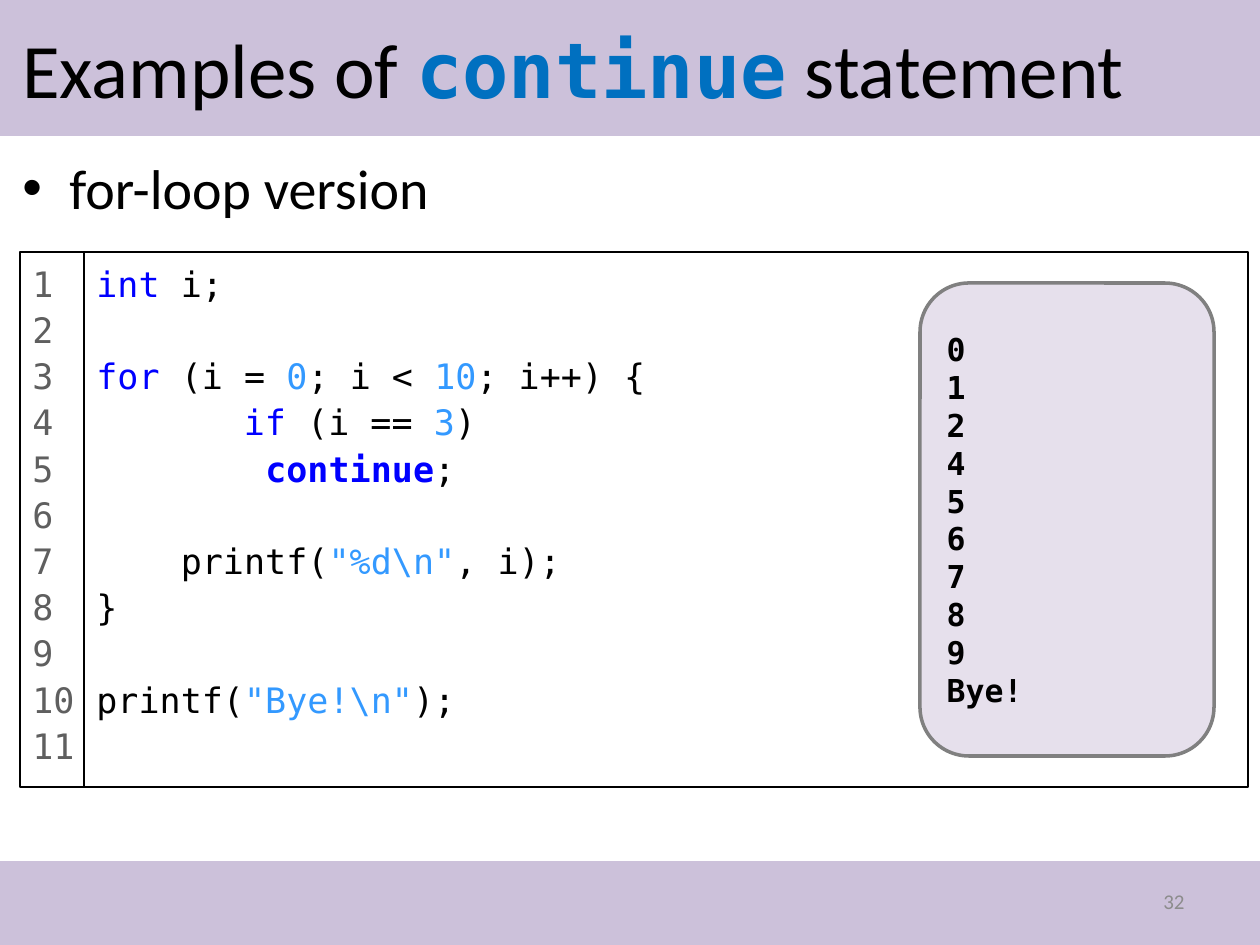
"""Build a slide showing the continue statement in a for loop, with its output."""
import pptx
import pptx.dml.color
import pptx.enum.shapes
import pptx.enum.text
import pptx.oxml.ns
import pptx.util
from lxml import etree

PX_PER_INCH = 126
SANS, MONO = "Calibri", "DejaVu Sans Mono"
BLACK, LILAC, WHITE = "000000", "CCC1DA", "FFFFFF"
KEYWORD, LITERAL = "0000FF", "3399FF"
RECT = pptx.enum.shapes.MSO_SHAPE.RECTANGLE
ROUNDED = pptx.enum.shapes.MSO_SHAPE.ROUNDED_RECTANGLE
ANCHOR = pptx.enum.text.MSO_ANCHOR
ALIGN = pptx.enum.text.PP_ALIGN

CODE = [
    [("int ", KEYWORD), ("i;",)],
    [],
    [("for ", KEYWORD), ("(i = ",), ("0", LITERAL), ("; i < ",),
     ("10", LITERAL), ("; i++) {",)],
    [("\t    ",), ("if", KEYWORD), (" (i == ",), ("3", LITERAL), (")",)],
    [("        ",), ("continue", KEYWORD, True), (";",)],
    [],
    [("    printf(",), ('"%d\\n"', LITERAL), (", i);",)],
    [("}",)],
    [],
    [("printf(",), ('"Bye!\\n"', LITERAL), (");",)],
]


def px(length):
    """Turn pixels into EMU."""
    return round(length * pptx.util.Inches(1) / PX_PER_INCH)


def rgb(value):
    """Turn a hex string into a colour."""
    return pptx.dml.color.RGBColor.from_string(value)


def add_panel(slide, box, fill, outline=None, weight=0.75, kind=RECT):
    """Add a filled shape and return its text frame."""
    panel = slide.shapes.add_shape(kind, *map(px, box))
    panel.shadow.inherit = False
    panel.fill.solid()
    panel.fill.fore_color.rgb = rgb(fill)
    if outline:
        panel.line.color.rgb = rgb(outline)
        panel.line.width = pptx.util.Pt(weight)
    else:
        panel.line.fill.background()
    panel.text_frame.vertical_anchor = ANCHOR.TOP
    return panel.text_frame


def add_label(slide, box, anchor=ANCHOR.TOP):
    """Add a wrapping text box and return its text frame."""
    frame = slide.shapes.add_textbox(*map(px, box)).text_frame
    frame.word_wrap = True
    frame.vertical_anchor = anchor
    return frame


def style_run(run, size, face, color=BLACK, bold=False):
    """Set the font of one run."""
    run.font.size = pptx.util.Pt(size)
    run.font.name = face
    run.font.color.rgb = rgb(color)
    run.font.bold = bold


def write_lines(frame, lines, size, face, color=BLACK, bold=False, spacing=None, align=ALIGN.LEFT):
    """Write one uniformly styled paragraph per line."""
    frame.text = "\n".join(lines)
    for paragraph in frame.paragraphs:
        paragraph.alignment = align
        paragraph.line_spacing = spacing
        for run in paragraph.runs:
            style_run(run, size, face, color, bold)


def add_ppr_child(paragraph, tag, **attributes):
    """Append an element to the paragraph properties."""
    properties = paragraph._p.get_or_add_pPr()
    return etree.SubElement(properties, pptx.oxml.ns.qn(tag), attributes)


def write_title(frame):
    """Write the title with its keyword set as code."""
    title = frame.paragraphs[0]
    for text, face, color, bold in (("Examples of ", SANS, BLACK, False),
                                    ("continue", MONO, "0070C0", True),
                                    (" statement", SANS, BLACK, False)):
        run = title.add_run()
        run.text = text
        style_run(run, 44, face, color, bold)


def write_bullet(frame, text):
    """Write one bulleted line with a hanging indent."""
    write_lines(frame, [text], 32, SANS)
    bullet = frame.paragraphs[0]
    properties = bullet._p.get_or_add_pPr()
    properties.set("marL", str(px(47)))
    properties.set("indent", str(-px(47)))
    add_ppr_child(bullet, "a:buFont", typeface="Arial")
    add_ppr_child(bullet, "a:buChar", char="•")


def write_code(frame, lines, size, spacing):
    """Write code lines made of coloured tokens."""
    for number, tokens in enumerate(lines):
        line = frame.add_paragraph() if number else frame.paragraphs[0]
        line.alignment = ALIGN.LEFT
        line.line_spacing = spacing
        if any("\t" in token[0] for token in tokens):
            stops = add_ppr_child(line, "a:tabLst")
            etree.SubElement(stops, pptx.oxml.ns.qn("a:tab"), pos=str(px(63)), algn="l")
        for text, *look in tokens:
            run = line.add_run()
            run.text = text
            style_run(run, size, MONO, *look)
        if not tokens:
            ending = etree.SubElement(line._p, pptx.oxml.ns.qn("a:endParaRPr"), sz=str(size * 100))
            etree.SubElement(ending, pptx.oxml.ns.qn("a:latin"), typeface=MONO)


def main():
    """Build and save the slide."""
    deck = pptx.Presentation()
    deck.slide_width, deck.slide_height = px(1260), px(945)
    slide = deck.slides.add_slide(deck.slide_layouts[6])

    add_panel(slide, (0, 0, 1260, 136), LILAC)
    add_panel(slide, (0, 861, 1260, 84), LILAC)
    write_title(add_label(slide, (10, 10, 1134, 116), ANCHOR.MIDDLE))
    write_bullet(add_label(slide, (10, 147, 1231, 105)), "for-loop version")
    page = add_label(slide, (903, 876, 294, 50), ANCHOR.MIDDLE)
    write_lines(page, ["32"], 12, SANS, "8C8C8C", align=ALIGN.RIGHT)

    gutter = add_panel(slide, (20, 252, 64, 535), WHITE, BLACK)
    gutter.margin_right = 0
    write_lines(gutter, map(str, range(1, 12)), 20, MONO, "5F5F5F", spacing=1.1)
    listing = add_panel(slide, (84, 252, 1164, 535), WHITE, BLACK)
    write_code(listing, CODE, 20, 1.1)

    output = add_panel(slide, (920, 283, 294, 473), "E6E0EC", "808080", 2, ROUNDED)
    output.vertical_anchor = ANCHOR.MIDDLE
    printed = [str(i) for i in range(10) if i != 3] + ["Bye!"]
    write_lines(output, printed, 18, MONO, bold=True)

    deck.save("out.pptx")


if __name__ == "__main__":
    main()
